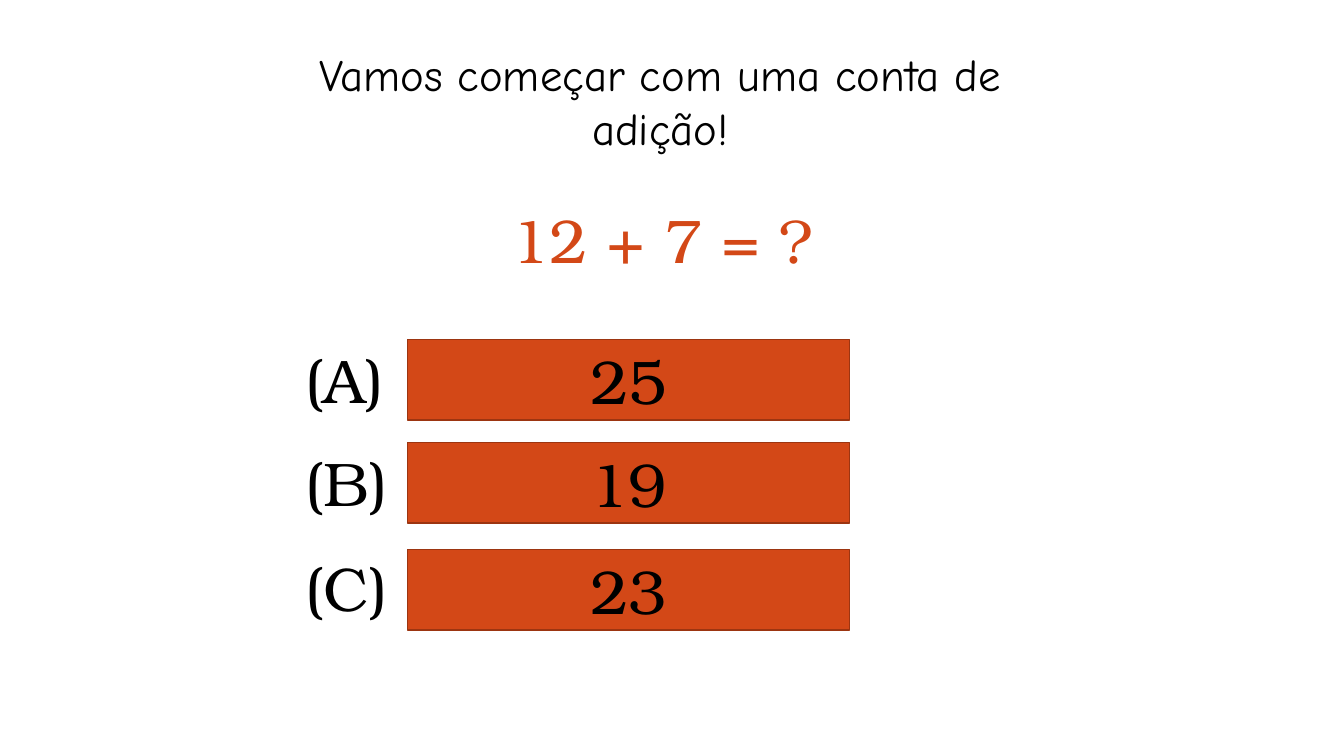
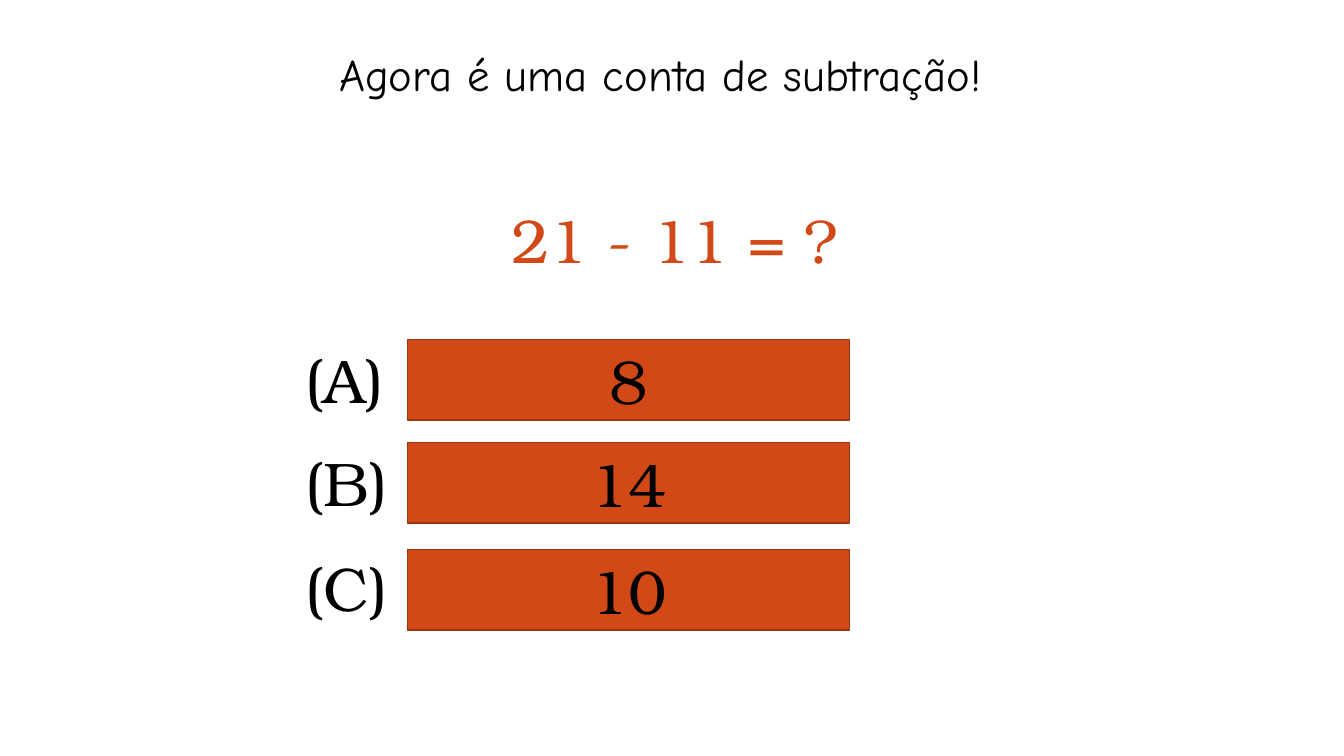
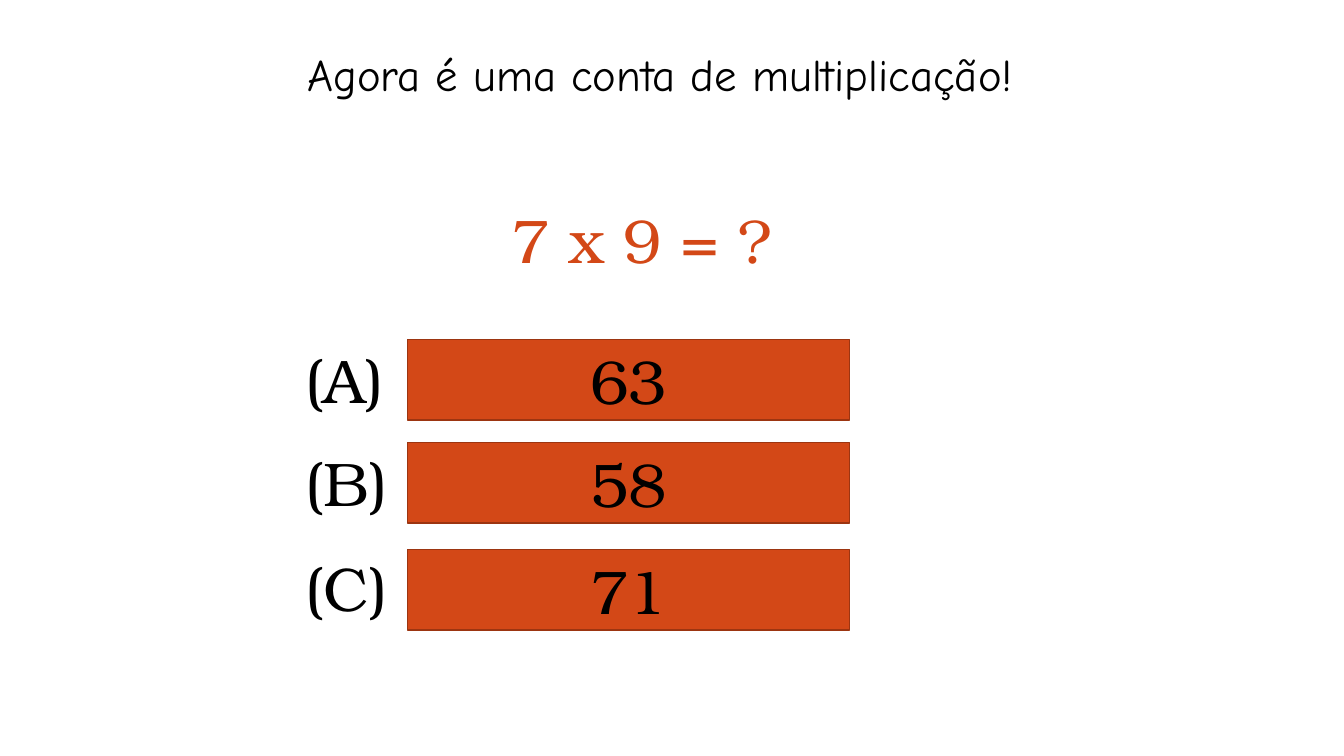
from pptx import Presentation
from pptx.dml.color import RGBColor
from pptx.enum.shapes import MSO_SHAPE
from pptx.enum.text import MSO_ANCHOR, MSO_AUTO_SIZE, PP_ALIGN
from pptx.util import Pt

BLACK = RGBColor(0x00, 0x00, 0x00)
ORANGE = RGBColor(0xD3, 0x48, 0x17)
RUST = RGBColor(0x9C, 0x35, 0x11)
HEAD_FONT, HEAD_SIZE = "Comic Neue", 32
MATH_FONT, MATH_SIZE = "TeX Gyre Bonum", 44

# Boxes: left, top, width, height in points
TITLE_BOX = (183, 30, 577.5, 85)
SUM_BOX = (358.5, 141, 400, 60.5)
QUIZ_BOX = (211, 240.5, 396, 209.5)

# Answer rows: letter, label top and bar top within the quiz box
ROWS = (("A", 0, 2), ("B", 73.5, 75.5), ("C", 148.5, 152))
LABEL_W, LABEL_H = 95, 60.5
BAR_X, BAR_H = 80, 57.5

QUIZ = (
    ("Vamos começar com uma conta de adição!", "12 + 7 = ?", ("25", "19", "23")),
    ("Agora é uma conta de subtração!", "21 - 11 = ?", ("8", "14", "10")),
    ("Agora é uma conta de multiplicação!", "7 x 9 = ?", ("63", "58", "71")),
)


def write(shape, text, font=MATH_FONT, size=MATH_SIZE, color=BLACK,
          align=PP_ALIGN.LEFT, anchor=MSO_ANCHOR.TOP):
    frame = shape.text_frame
    frame.text = text
    frame.word_wrap = True
    frame.auto_size = MSO_AUTO_SIZE.NONE
    frame.vertical_anchor = anchor
    para = frame.paragraphs[0]
    para.alignment = align
    para.font.name = font
    para.font.size = Pt(size)
    para.font.color.rgb = color


def add_title(slide, box, text):
    title = slide.shapes.title
    title.left, title.top, title.width, title.height = map(Pt, box)
    write(title, text, HEAD_FONT, HEAD_SIZE, align=PP_ALIGN.CENTER)


def add_text(slide, box, text, color=BLACK):
    write(slide.shapes.add_textbox(*map(Pt, box)), text, color=color)


def add_bar(slide, box, text):
    bar = slide.shapes.add_shape(MSO_SHAPE.RECTANGLE, *map(Pt, box))
    bar.shadow.inherit = False
    bar.fill.solid()
    bar.fill.fore_color.rgb = ORANGE
    bar.line.color.rgb = RUST
    bar.line.width = Pt(1)
    write(bar, text, align=PP_ALIGN.CENTER, anchor=MSO_ANCHOR.MIDDLE)


def add_quiz(slide, box, answers):
    left, top, width, _ = box
    for (letter, label_y, bar_y), answer in zip(ROWS, answers):
        add_bar(slide, (left + BAR_X, top + bar_y, width - BAR_X, BAR_H), answer)
        add_text(slide, (left, top + label_y, LABEL_W, LABEL_H), f"({letter})")


def main():
    deck = Presentation()
    deck.slide_width, deck.slide_height = Pt(960), Pt(540)
    layout = deck.slide_layouts.get_by_name("Title Only")
    for title, problem, answers in QUIZ:
        slide = deck.slides.add_slide(layout)
        add_title(slide, TITLE_BOX, title)
        add_text(slide, SUM_BOX, problem, ORANGE)
        add_quiz(slide, QUIZ_BOX, answers)
    deck.save("out.pptx")


if __name__ == "__main__":
    main()
